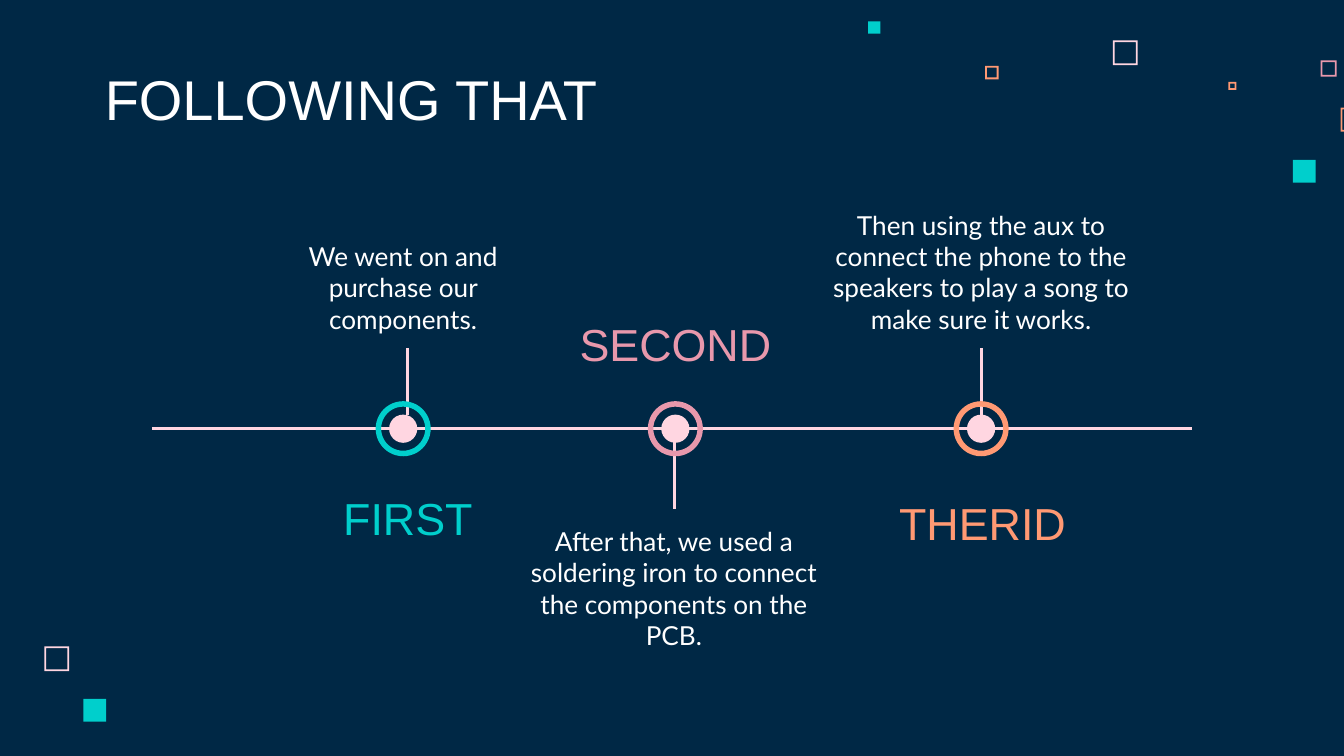
from dataclasses import dataclass

from lxml.etree import SubElement
from pptx import Presentation
from pptx.dml.color import RGBColor
from pptx.enum.shapes import MSO_CONNECTOR, MSO_SHAPE
from pptx.enum.text import MSO_ANCHOR, MSO_AUTO_SIZE, PP_ALIGN
from pptx.oxml.ns import qn
from pptx.util import Inches, Pt


@dataclass(frozen=True)
class Theme:
    navy: str = "002845"
    white: str = "FFFFFF"
    blush: str = "FFD6E1"
    rose: str = "E898AC"
    coral: str = "FF9973"
    teal: str = "00CFCC"
    heading_font: str = "Arial"
    body_font: str = "Lato"
    title_size: int = 30
    label_size: int = 24
    body_size: int = 14
    line_width: float = 1.5


theme = Theme()
presentation = Presentation()
presentation.slide_width, presentation.slide_height = Inches(10), Inches(5.625)
slide = presentation.slides.add_slide(presentation.slide_layouts[5])
slide.background.fill.solid()
slide.background.fill.fore_color.rgb = RGBColor.from_string(theme.navy)

# Every length below counts grid cells: a cell is 1/100 of the slide's width.
cell = presentation.slide_width / 100


def write(shape, box, text, font, size, color, align, anchor):
    """Place a text shape on the grid and fill it with one formatted run."""
    shape.left, shape.top, shape.width, shape.height = (int(n * cell) for n in box)
    frame = shape.text_frame
    frame.word_wrap = True
    frame.auto_size = MSO_AUTO_SIZE.NONE
    frame.vertical_anchor = anchor
    frame.margin_left = frame.margin_right = int(cell)
    frame.margin_top = frame.margin_bottom = int(cell)
    paragraph = frame.paragraphs[0]
    paragraph.alignment = align
    run = paragraph.add_run()
    run.text = text
    run.font.name = font
    run.font.size = Pt(size)
    run.font.color.rgb = RGBColor.from_string(color)


def add_filled(preset, left, top, size, color, adjustment=None):
    shape = slide.shapes.add_shape(
        preset, int(left * cell), int(top * cell), int(size * cell), int(size * cell))
    shape.shadow.inherit = False
    shape.fill.solid()
    shape.fill.fore_color.rgb = RGBColor.from_string(color)
    shape.line.fill.background()
    if adjustment is not None:
        shape.adjustments[0] = adjustment


# Scattered squares: left, top, size, colour
frame_thickness = 0.13
hollow_squares = [
    (82.8, 3.0, 1.85, theme.blush),
    (98.25, 4.5, 1.2, theme.rose),
    (91.4, 6.1, 0.6, theme.coral),
    (99.75, 8.0, 1.8, theme.coral),
    (73.3, 4.9, 1.0, theme.coral),
    (3.3, 48.1, 1.85, theme.blush),
]
solid_squares = [(96.2, 11.9, 1.7), (64.6, 1.6, 0.9), (6.2, 52.0, 1.7)]
for left, top, size, color in hollow_squares:
    add_filled(MSO_SHAPE.FRAME, left, top, size, color, frame_thickness / size)
for left, top, size in solid_squares:
    add_filled(MSO_SHAPE.RECTANGLE, left, top, size, theme.teal)

write(slide.shapes.title, (6.8, 4.5, 51.7, 6.3), "FOLLOWING THAT",
      theme.heading_font, theme.title_size, theme.white, PP_ALIGN.LEFT, MSO_ANCHOR.BOTTOM)

# Timeline: the axis and one stem for each milestone
axis_y, dot_size, ring_size = 31.9, 2.1, 4.1
stem_start, stem_end = 1.0, 6.0
axis = (11.3, axis_y, 88.7, axis_y)
stems = [(x, axis_y + side * stem_start, x, axis_y + side * stem_end)
         for x, side in ((30.3, -1), (50.2, 1), (73.0, -1))]
for ends in [*stems, axis]:
    connector = slide.shapes.add_connector(
        MSO_CONNECTOR.STRAIGHT, *(int(n * cell) for n in ends))
    connector.line.color.rgb = RGBColor.from_string(theme.blush)
    connector.line.width = Pt(theme.line_width)
    SubElement(connector.element.spPr, qn("a:effectLst"))

# Milestones: centre, colour, label and its box, body text, its box and anchor
milestones = [
    (30.0, theme.teal, "FIRST", (23.3, 36.2, 14.1, 4.7),
     "We went on and purchase our components.",
     (19.7, 18.8, 20.6, 7.1), MSO_ANCHOR.BOTTOM),
    (50.25, theme.rose, "SECOND", (41.8, 23.2, 16.9, 4.7),
     "After that, we used a soldering iron to connect the components on the PCB.",
     (37.1, 38.1, 26.1, 7.1), MSO_ANCHOR.TOP),
    (73.0, theme.coral, "THERID", (65.5, 36.5, 15.2, 4.7),
     "Then using the aux to connect the phone to the speakers to play a song "
     "to make sure it works.",
     (59.4, 18.8, 27.2, 7.1), MSO_ANCHOR.BOTTOM),
]
for center, color, label, label_box, body, body_box, body_anchor in milestones:
    add_filled(MSO_SHAPE.OVAL, center - dot_size / 2, axis_y - dot_size / 2,
               dot_size, theme.blush)
    add_filled(MSO_SHAPE.DONUT, center - ring_size / 2, axis_y - ring_size / 2,
               ring_size, color, 0.1)
    write(slide.shapes.add_textbox(0, 0, 0, 0), body_box, body, theme.body_font,
          theme.body_size, theme.white, PP_ALIGN.CENTER, body_anchor)
    write(slide.shapes.add_textbox(0, 0, 0, 0), label_box, label, theme.heading_font,
          theme.label_size, color, PP_ALIGN.CENTER, MSO_ANCHOR.MIDDLE)

presentation.save("out.pptx")
